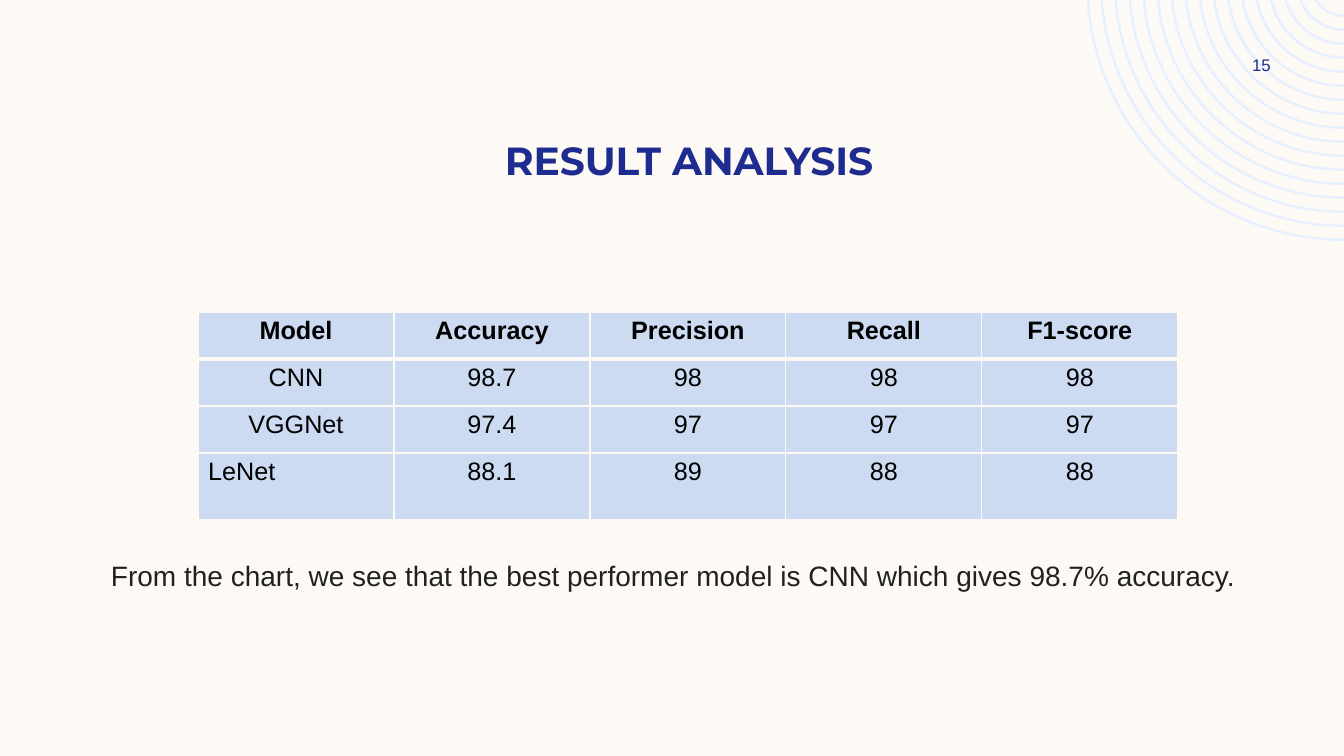
import math
from lxml import etree
from pptx import Presentation
from pptx import util as u
from pptx.dml.color import RGBColor
from pptx.enum import text
from pptx.oxml.ns import qn

PX = 914400 / 100.8
HUES = {"paper": "FDFAF6", "ring": "E6F0FE", "navy": "1F2C8F",
        "cell": "CCDBF1", "black": "000000", "ink": "212121"}
SIDES = {"l": text.PP_ALIGN.LEFT, "c": text.PP_ALIGN.CENTER}


def px(num):
    return u.Emu(round(num * PX))


def hue(name):
    return RGBColor.from_string(HUES[name])


def write(frame, words, size=18, font="Arial", color="black", bold=False,
          side="c"):
    para = frame.paragraphs[0]
    para.alignment = SIDES[side]
    run = para.add_run()
    run.text = words
    run.font.size = u.Pt(size)
    run.font.name = font
    run.font.bold = bold
    run.font.color.rgb = hue(color)


def arc(mid_x, mid_y, rad):
    """Bezier points from the top slide edge down to below the centre."""
    start = math.asin(-mid_y / rad)
    pull = rad * 4 / 3 * math.tan((math.pi / 2 - start) / 4)
    sin, cos = math.sin(start), math.cos(start)
    x, y = mid_x - rad * cos, mid_y + rad * sin
    low = mid_y + rad
    return [(x, y), (x + pull * sin, y + pull * cos),
            (mid_x - pull, low), (mid_x, low)]


def bend(lines):
    """Turn three straight steps into one curve."""
    curve = etree.Element(qn("a:cubicBezTo"))
    lines[0].addprevious(curve)
    for line in lines:
        curve.append(line[0])
        line.getparent().remove(line)


class Deck:
    def __init__(self, wide, high):
        self.prs = Presentation()
        self.prs.slide_width, self.prs.slide_height = px(wide), px(high)
        self.slide = self.prs.slides.add_slide(self.prs.slide_layouts[6])
        back = self.slide.background.fill
        back.solid()
        back.fore_color.rgb = hue("paper")

    def label(self, box, words, anchor=text.MSO_ANCHOR.TOP, **style):
        frame = self.slide.shapes.add_textbox(*map(px, box)).text_frame
        frame.word_wrap = True
        frame.vertical_anchor = anchor
        write(frame, words, **style)

    def rings(self, mid_x, mid_y, radii, thick, color):
        """Draw ring bands, cut off by the top and right slide edges."""
        unit = 10
        pen = None
        for rad in radii:
            band = (arc(mid_x, mid_y, rad)
                    + arc(mid_x, mid_y, rad - thick)[::-1])
            band = [(unit * x, unit * y) for x, y in band]
            if pen is None:
                pen = self.slide.shapes.build_freeform(
                    *band[0], scale=PX / unit)
            else:
                pen.move_to(*band[0])
            pen.add_line_segments(band[1:], close=True)
        shape = pen.convert_to_shape()
        # Each band has seven steps: curve, straight end, curve
        steps = list(shape._element.iter(qn("a:lnTo")))
        for i in range(0, len(steps), 7):
            bend(steps[i:i + 3])
            bend(steps[i + 4:i + 7])
        shape.shadow.inherit = False
        shape.fill.solid()
        shape.fill.fore_color.rgb = hue(color)
        shape.line.fill.background()

    def edge(self, tag, width):
        line = etree.Element(qn("a:" + tag), w=str(u.Pt(width)))
        fill = etree.SubElement(line, qn("a:solidFill"))
        etree.SubElement(fill, qn("a:srgbClr"), val=HUES["paper"])
        return line

    def table(self, left, top, col, highs, rows):
        wide = col * len(rows[0])
        grid = self.slide.shapes.add_table(
            len(rows), len(rows[0]),
            *map(px, (left, top, wide, sum(highs)))).table
        grid.first_row = grid.horz_banding = False
        for part in grid.columns:
            part.width = px(col)
        for r, row in enumerate(rows):
            grid.rows[r].height = px(highs[r])
            for c, words in enumerate(row):
                cell = grid.cell(r, c)
                cell.fill.solid()
                cell.fill.fore_color.rgb = hue("cell")
                side = "l" if words == "LeNet" else "c"
                write(cell.text_frame, words, bold=r == 0, side=side)
                # A thicker rule parts the header from the body
                widths = {"lnL": 1, "lnR": 1, "lnT": 3 if r == 1 else 1,
                          "lnB": 3 if r == 0 else 1}
                props = cell._tc.get_or_add_tcPr()
                for i, (tag, width) in enumerate(widths.items()):
                    props.insert(i, self.edge(tag, width))


def main():
    deck = Deck(1344, 756)

    # Corner rings
    deck.rings(1344, -17, range(258, 33, -14), 2.5, "ring")

    # Page number and heading
    deck.label((1207, 50, 109, 30), "15", anchor=text.MSO_ANCHOR.MIDDLE,
               size=12, color="navy")
    deck.label((101, 131, 1176, 85), "RESULT ANALYSIS", size=28,
               font="Montserrat", color="navy", bold=True)

    # Scores by model
    deck.table(198, 312, 196, [47, 47, 47, 67], [
        ["Model", "Accuracy", "Precision", "Recall", "F1-score"],
        ["CNN", "98.7", "98", "98", "98"],
        ["VGGNet", "97.4", "97", "97", "97"],
        ["LeNet", "88.1", "89", "88", "88"],
    ])

    # Finding
    deck.label((101, 554, 1176, 85),
               "From the chart, we see that the best performer model is CNN "
               "which gives 98.7% accuracy.",
               size=20, color="ink", side="l")

    deck.prs.save("out.pptx")


if __name__ == "__main__":
    main()
